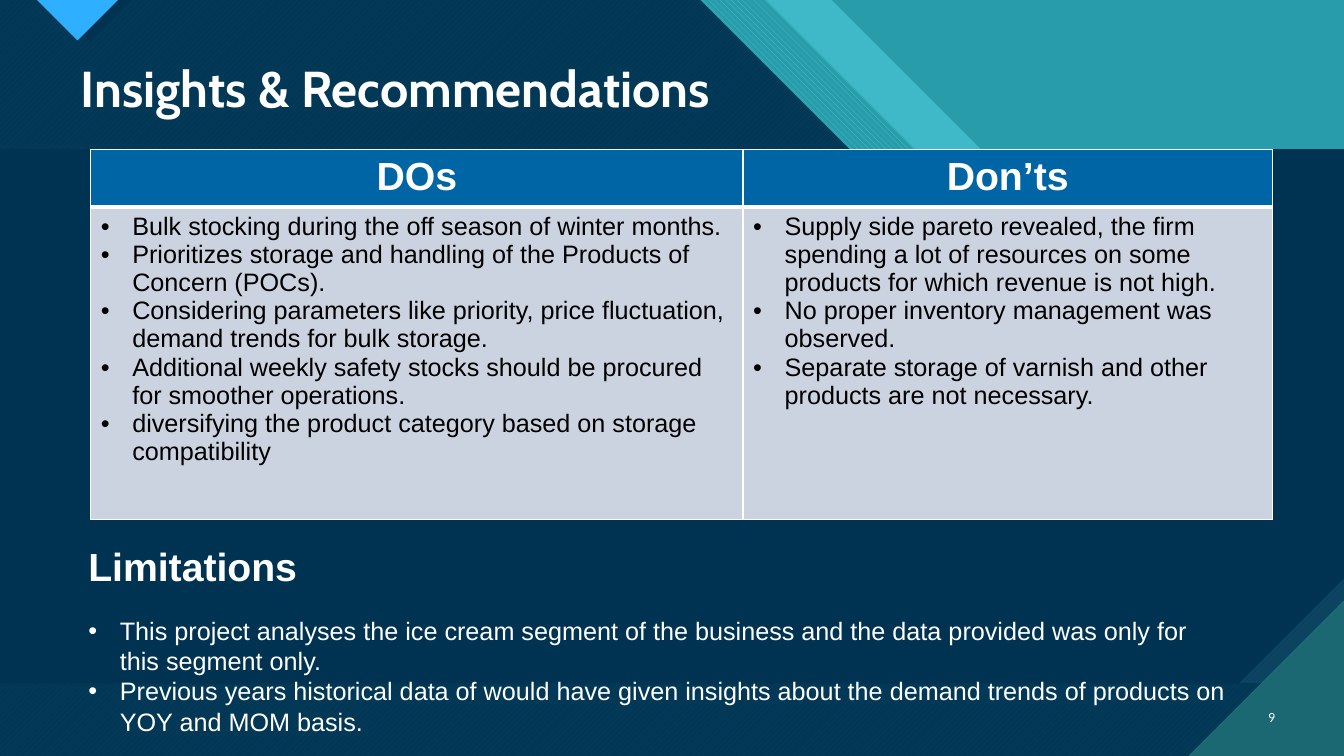
from dataclasses import dataclass
from typing import Any

import pptx
import pptx.dml.color
import pptx.enum.dml
import pptx.enum.text
import pptx.oxml
import pptx.oxml.ns
import pptx.util

Pt = pptx.util.Pt
RGBColor = pptx.dml.color.RGBColor
PATTERN = pptx.enum.dml.MSO_PATTERN
ALIGN = pptx.enum.text.PP_ALIGN
ANCHOR = pptx.enum.text.MSO_ANCHOR
qn = pptx.oxml.ns.qn

WHITE = RGBColor(0xFF, 0xFF, 0xFF)
BLACK = RGBColor(0x00, 0x00, 0x00)
NAVY = RGBColor(0x00, 0x33, 0x52)
SLATE = RGBColor(0x0C, 0x43, 0x60)
TEAL = RGBColor(0x29, 0x9C, 0xAB)
AQUA = RGBColor(0x47, 0xC3, 0xD3)
PINE = RGBColor(0x1B, 0x68, 0x72)
SKY = RGBColor(0x2F, 0xAF, 0xFF)
HEADER_BLUE = RGBColor(0x00, 0x65, 0xA4)
CELL_GREY = RGBColor(0xCC, 0xD3, 0xE0)

WIDTH, HEIGHT = 960, 540
BAND_TOP, BAND_BOTTOM, SNIP = 106.6, 488.2, 75.2
CORNER = 111

DOS = [
    "Bulk stocking during the off season of winter months.",
    "Prioritizes storage and handling of the Products of Concern (POCs).",
    "Considering parameters like priority, price fluctuation, demand trends for bulk storage.",
    "Additional weekly safety stocks should be procured for smoother operations.",
    "diversifying the product category based on storage compatibility",
]
DONTS = [
    "Supply side pareto revealed, the firm spending a lot of resources on some "
    "products for which revenue is not high.",
    "No proper inventory management was observed.",
    "Separate storage of varnish and other products are not necessary.",
]
LIMITATIONS = [
    "This project analyses the ice cream segment of the business and the data "
    "provided was only for this segment only.",
    "Previous years historical data of would have given insights about the demand "
    "trends of products on YOY and MOM basis.",
]


def diagonal(start):
    shelf = start + 305
    return [(0, 0), (start, 0), (start + 214, 214), (shelf, 214),
            (WIDTH, 214 + WIDTH - shelf), (WIDTH, HEIGHT), (0, HEIGHT)]


@dataclass
class Deck:
    slide: Any
    font: str = "Arial"
    body_size: float = 18
    heading_size: float = 28
    indent: float = 22.5

    def polygon(self, points, color, pattern=None, back=None, alpha=None):
        corners = [(Pt(x), Pt(y)) for x, y in points]
        builder = self.slide.shapes.build_freeform(*corners[0])
        builder.add_line_segments(corners[1:], close=True)
        outline = builder.convert_to_shape()
        outline.shadow.inherit = False
        outline.line.fill.background()
        if pattern is None:
            outline.fill.solid()
        else:
            outline.fill.patterned()
            outline.fill.pattern = pattern
            outline.fill.back_color.rgb = back
        outline.fill.fore_color.rgb = color
        if alpha is not None:
            tint = next(outline._element.iter(qn("a:srgbClr")))
            tint.append(pptx.oxml.parse_xml(
                f'<a:alpha {pptx.oxml.ns.nsdecls("a")} val="{alpha * 1000}"/>'))

    def add_lines(self, frame, lines, size, color, bold=False, align=None,
                  font=None, bullets=False):
        for number, line in enumerate(lines):
            paragraph = frame.add_paragraph() if number else frame.paragraphs[0]
            paragraph.alignment = align
            run = paragraph.add_run()
            run.text = line
            run.font.name = font or self.font
            run.font.size = Pt(size)
            run.font.bold = bold
            run.font.color.rgb = color
            if bullets:
                properties = paragraph._p.get_or_add_pPr()
                properties.set("marL", str(Pt(self.indent)))
                properties.set("indent", str(-Pt(self.indent)))
                for tag in ('buFont typeface="Arial"', 'buChar char="•"'):
                    properties.append(pptx.oxml.parse_xml(
                        f'<a:{tag} {pptx.oxml.ns.nsdecls("a")}/>'))

    def text(self, box, lines, size, wrap=True, anchor=ANCHOR.TOP, **style):
        frame = self.slide.shapes.add_textbox(*map(Pt, box)).text_frame
        frame.word_wrap = wrap
        frame.vertical_anchor = anchor
        self.add_lines(frame, lines, size, WHITE, **style)

    def border(self, cell, sides):
        for side, width in sides.items():
            cell._tc.get_or_add_tcPr().append(pptx.oxml.parse_xml(
                f'<a:ln{side} {pptx.oxml.ns.nsdecls("a")} w="{Pt(width)}">'
                f'<a:solidFill><a:srgbClr val="{WHITE}"/></a:solidFill></a:ln{side}>'))

    def advice_table(self, left, top, widths, heights, columns):
        table = self.slide.shapes.add_table(
            len(heights), len(widths), Pt(left), Pt(top),
            Pt(sum(widths)), Pt(sum(heights))).table
        for row, height in zip(table.rows, heights):
            row.height = Pt(height)
        for index, (heading, advice) in enumerate(columns):
            table.columns[index].width = Pt(widths[index])
            head, body = table.cell(0, index), table.cell(1, index)
            self.border(head, {"L": 1, "R": 1, "T": 1, "B": 3})
            self.border(body, {"L": 1, "R": 1, "T": 3, "B": 1})
            for cell, color in ((head, HEADER_BLUE), (body, CELL_GREY)):
                cell.fill.solid()
                cell.fill.fore_color.rgb = color
            self.add_lines(head.text_frame, [heading], self.heading_size, WHITE,
                           bold=True, align=ALIGN.CENTER)
            self.add_lines(body.text_frame, advice, self.body_size, BLACK, bullets=True)


def main():
    presentation = pptx.Presentation()
    presentation.slide_width, presentation.slide_height = Pt(WIDTH), Pt(HEIGHT)
    slide = presentation.slides.add_slide(presentation.slide_layouts[6])
    slide.background.fill.solid()
    slide.background.fill.fore_color.rgb = TEAL
    deck = Deck(slide)

    deck.polygon(diagonal(594), AQUA, alpha=74)
    deck.polygon(diagonal(547), AQUA, PATTERN.WIDE_DOWNWARD_DIAGONAL, TEAL)
    deck.polygon(diagonal(500), AQUA, PATTERN.WIDE_UPWARD_DIAGONAL, PINE)
    deck.polygon(diagonal(500), NAVY, alpha=90)
    deck.polygon([(34.6, 0), (64.6, 29.5), (94.3, 0)], NAVY)
    deck.polygon([(26.6, 0), (55.4, 28.8), (84.2, 0)], SKY, PATTERN.DARK_HORIZONTAL, PINE)
    deck.polygon([(0, BAND_TOP), (WIDTH, BAND_TOP), (WIDTH, BAND_BOTTOM), (0, BAND_BOTTOM)],
                 SLATE, PATTERN.DARK_VERTICAL, PINE)
    deck.polygon([(0, BAND_TOP), (WIDTH, BAND_TOP), (WIDTH, BAND_BOTTOM - SNIP),
                  (WIDTH - SNIP, BAND_BOTTOM), (0, BAND_BOTTOM)], NAVY)
    deck.polygon([(WIDTH - CORNER, HEIGHT), (WIDTH, HEIGHT), (WIDTH, HEIGHT - CORNER)],
                 PINE, PATTERN.DARK_HORIZONTAL, AQUA)

    deck.text((886, 497.5, 32, 29), ["9"], 10, anchor=ANCHOR.MIDDLE,
              align=ALIGN.RIGHT, font="Calibri")
    deck.text((-104, 37, 773, 116), ["Insights & Recommendations"], 36,
              bold=True, align=ALIGN.CENTER, font="Cabin")
    deck.advice_table(64.8, 107, [466, 378], [41, 223],
                      [("DOs", DOS), ("Don’ts", DONTS)])
    deck.text((56, 384, 166, 41), ["Limitations"], deck.heading_size, wrap=False, bold=True)
    deck.text((56, 436, 829, 94), LIMITATIONS, deck.body_size, bullets=True)
    presentation.save("out.pptx")


if __name__ == "__main__":
    main()
